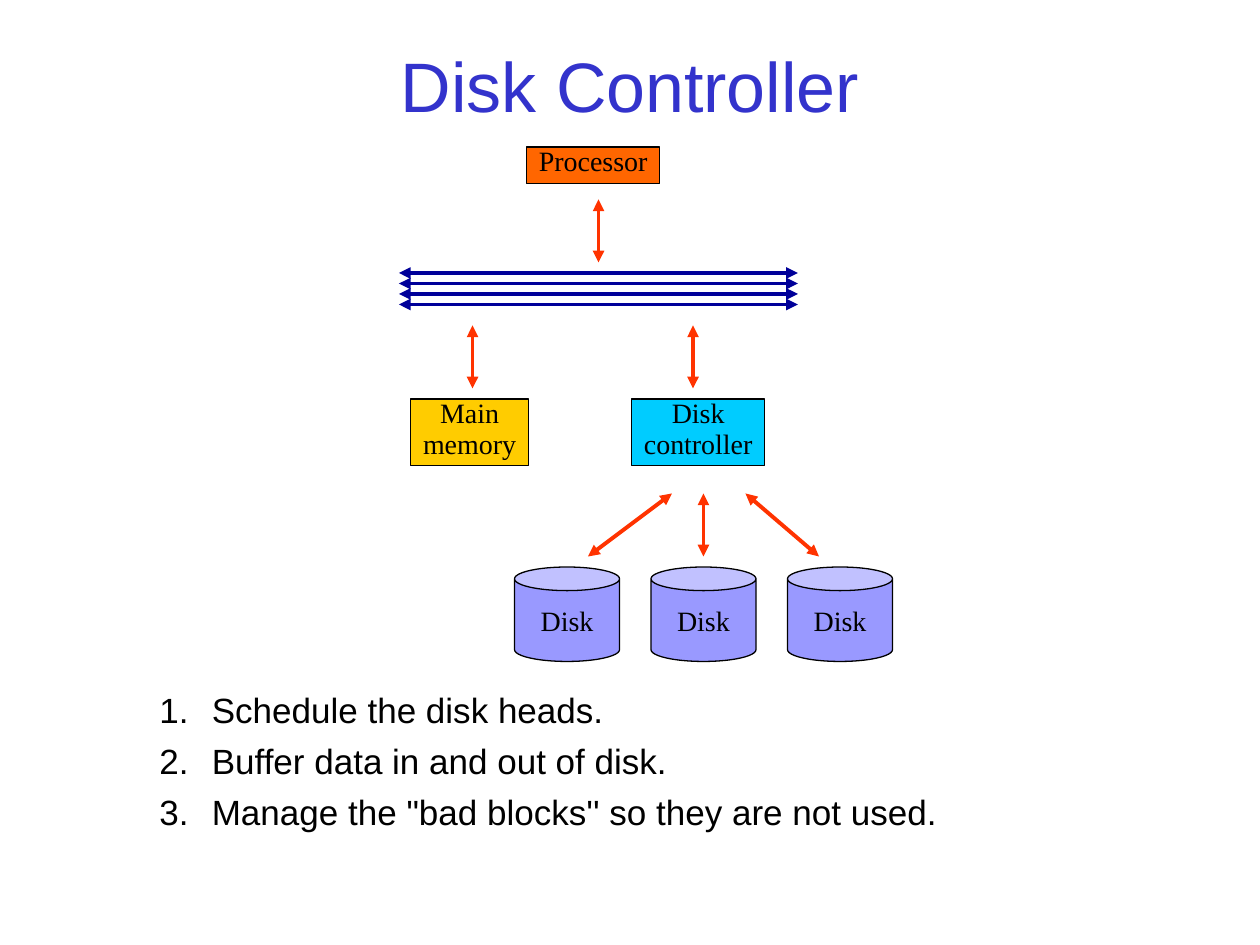
import dataclasses

import lxml.etree
import pptx
import pptx.dml.color
import pptx.enum.shapes
import pptx.enum.text
import pptx.oxml.ns
import pptx.util

RGBColor = pptx.dml.color.RGBColor
BLACK = RGBColor(0x00, 0x00, 0x00)
TITLE_BLUE = RGBColor(0x33, 0x33, 0xCC)
DISK_VIOLET = RGBColor(0x99, 0x99, 0xFF)
CONTROLLER_CYAN = RGBColor(0x00, 0xCC, 0xFF)
MEMORY_YELLOW = RGBColor(0xFF, 0xCC, 0x00)
PROCESSOR_ORANGE = RGBColor(0xFF, 0x66, 0x00)
BUS_NAVY = RGBColor(0x00, 0x00, 0x99)
ARROW_RED = RGBColor(0xFF, 0x33, 0x00)

CELL = pptx.util.Inches(10) // 120
SANS = "Arial"
SERIF = "Times New Roman"
SHAPES = pptx.enum.shapes.MSO_SHAPE
ANCHOR = pptx.enum.text.MSO_ANCHOR
AUTO_SIZE = pptx.enum.text.MSO_AUTO_SIZE
CENTER = pptx.enum.text.PP_ALIGN.CENTER


@dataclasses.dataclass(frozen=True)
class Area:
    column: float
    row: float
    columns: float
    rows: float

    def lengths(self) -> list[int]:
        return [grid(value) for value in dataclasses.astuple(self)]


@dataclasses.dataclass(frozen=True)
class Unit:
    lines: tuple[str, ...]
    area: Area
    fill: RGBColor


@dataclasses.dataclass(frozen=True)
class Arrow:
    start: tuple[float, float]
    end: tuple[float, float]
    color: RGBColor = ARROW_RED


UNITS = [
    Unit(("Disk", "controller"), Area(60.15, 38, 12.7, 6.35), CONTROLLER_CYAN),
    Unit(("Main", "memory"), Area(39.1, 38, 11.25, 6.35), MEMORY_YELLOW),
    Unit(("Processor",), Area(50.15, 14, 12.7, 3.5), PROCESSOR_ORANGE),
]
DISKS = [Unit(("Disk",), Area(49 + 13 * index, 54, 10, 9), DISK_VIOLET) for index in range(3)]
BUS = [Arrow((38, row), (76, row), BUS_NAVY) for row in range(26, 30)]
ARROWS = [
    Arrow((57, 19), (57, 25)),
    Arrow((45, 31), (45, 37)),
    Arrow((66, 31), (66, 37)),
    Arrow((67, 47), (67, 53)),
    Arrow((64, 47), (56, 53)),
    Arrow((71, 47), (78, 53)),
]
TASKS = [
    "Schedule the disk heads.",
    "Buffer data in and out of disk.",
    "Manage the \"bad blocks'' so they are not used.",
]


def grid(cells: float) -> int:
    return round(cells * CELL)


def add_child(parent, tag: str, **attributes: str):
    return lxml.etree.SubElement(parent, pptx.oxml.ns.qn(tag), attributes)


def write_lines(frame, lines, font: str, size: float, color: RGBColor) -> list:
    for index, line in enumerate(lines):
        para = frame.paragraphs[0] if index == 0 else frame.add_paragraph()
        span = para.add_run()
        span.text = line
        span.font.name = font
        span.font.size = pptx.util.Pt(size)
        span.font.color.rgb = color
    return list(frame.paragraphs)


def set_title(page, text: str) -> None:
    title = page.shapes.title
    title.left, title.top, title.width, title.height = Area(9, 3, 102, 10).lengths()
    frame = title.text_frame
    frame.auto_size = AUTO_SIZE.NONE
    frame.vertical_anchor = ANCHOR.MIDDLE
    for para in write_lines(frame, [text], SANS, 40, TITLE_BLUE):
        para.alignment = CENTER


def add_tasks(page, tasks: list[str], area: Area) -> None:
    frame = page.shapes.add_textbox(*area.lengths()).text_frame
    frame.word_wrap = True
    for para in write_lines(frame, tasks, SANS, 20, BLACK):
        para.space_before = pptx.util.Pt(5)
        properties = para._p.get_or_add_pPr()
        properties.set("marL", str(grid(5)))
        properties.set("indent", str(-grid(5)))
        add_child(properties, "a:buFont", typeface=SANS)
        add_child(properties, "a:buAutoNum", type="arabicPeriod")


def add_unit(page, unit: Unit, preset):
    box = page.shapes.add_shape(preset, *unit.area.lengths())
    box.shadow.inherit = False
    box.fill.solid()
    box.fill.fore_color.rgb = unit.fill
    box.line.color.rgb = BLACK
    box.line.width = pptx.util.Pt(0.75)
    box.text_frame.word_wrap = False
    for para in write_lines(box.text_frame, unit.lines, SERIF, 16, BLACK):
        para.alignment = CENTER
        para.space_before = pptx.util.Pt(4)
    return box


def add_disk(page, disk: Unit) -> None:
    can = add_unit(page, disk, SHAPES.CAN)
    can.adjustments[0] = 0.25
    can.text_frame.vertical_anchor = ANCHOR.MIDDLE


def add_box(page, unit: Unit) -> None:
    frame = add_unit(page, unit, SHAPES.RECTANGLE).text_frame
    frame.vertical_anchor = ANCHOR.TOP
    frame.auto_size = AUTO_SIZE.NONE
    frame.margin_left = frame.margin_right = pptx.util.Inches(0.05)
    for para in frame.paragraphs:
        para.line_spacing = 0.7


def add_arrow(page, arrow: Arrow) -> None:
    ends = [grid(value) for value in arrow.start + arrow.end]
    connector = page.shapes.add_connector(pptx.enum.shapes.MSO_CONNECTOR.STRAIGHT, *ends)
    connector.line.color.rgb = arrow.color
    connector.line.width = pptx.util.Pt(2.25)
    properties = connector.element.spPr
    outline = properties.find(pptx.oxml.ns.qn("a:ln"))
    add_child(outline, "a:headEnd", type="triangle")
    add_child(outline, "a:tailEnd", type="triangle")
    add_child(properties, "a:effectLst")


def main() -> None:
    deck = pptx.Presentation()
    deck.slide_width = grid(120)
    deck.slide_height = grid(90)
    page = deck.slides.add_slide(deck.slide_layouts.get_by_name("Title Only"))
    set_title(page, "Disk Controller")
    add_tasks(page, TASKS, Area(14, 65, 83, 19))
    for disk in DISKS:
        add_disk(page, disk)
    for unit in UNITS:
        add_box(page, unit)
    for arrow in BUS + ARROWS:
        add_arrow(page, arrow)
    deck.save("out.pptx")


if __name__ == "__main__":
    main()
